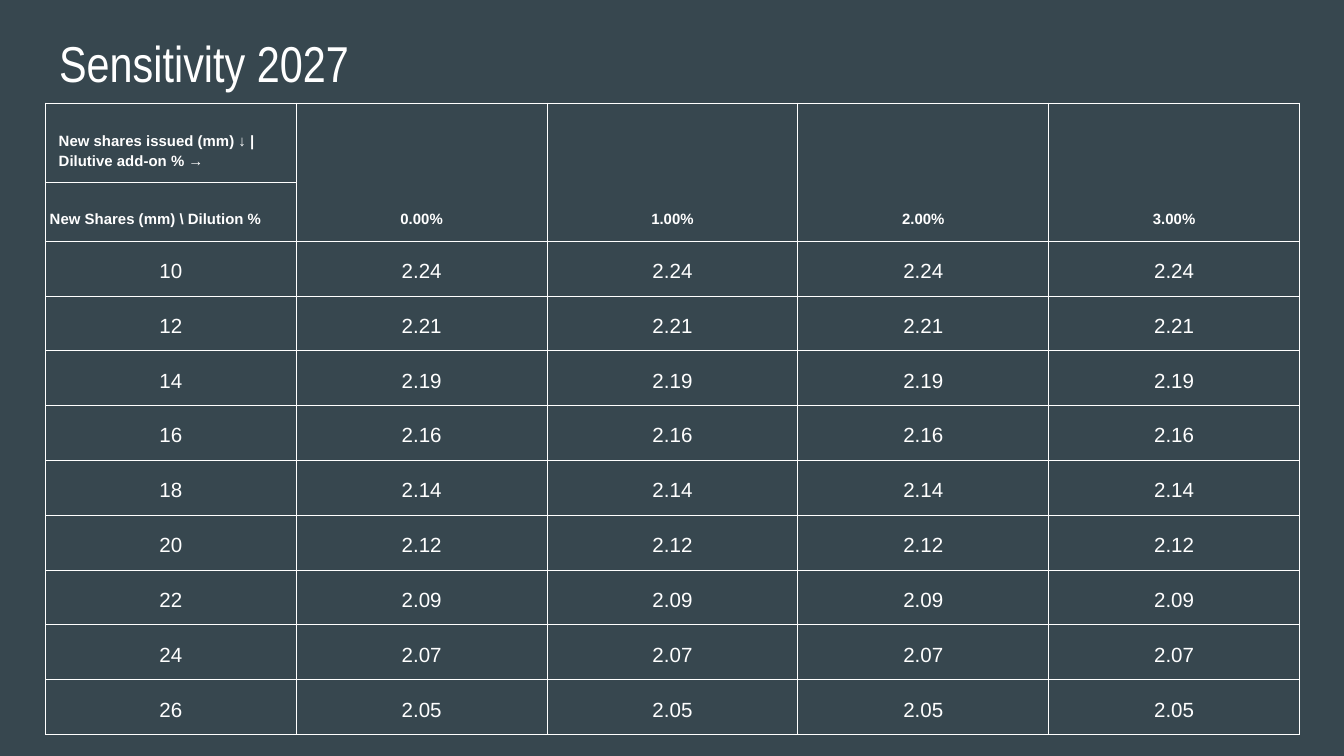
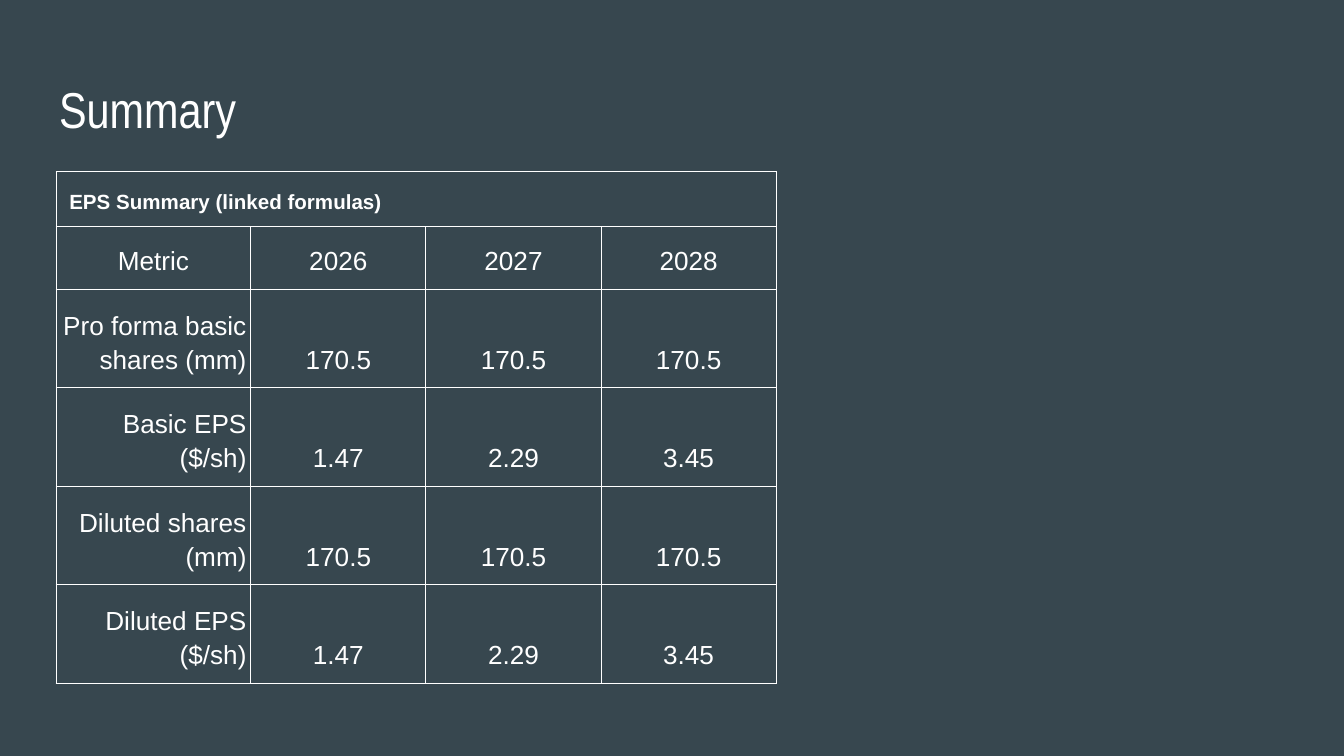
from dataclasses import dataclass
from typing import Optional

import pptx
import pptx.dml.color
import pptx.enum.text
import pptx.oxml
import pptx.oxml.ns
import pptx.util
from pptx.util import Cm, Length, Pt

Align = pptx.enum.text.PP_ALIGN
Anchor = pptx.enum.text.MSO_ANCHOR


@dataclass(frozen=True)
class Theme:
    background: str = "37474F"
    ink: str = "FFFFFF"
    title_font: str = "Arial Narrow"
    body_font: str = "Arial"
    title_size: float = 27
    header_size: float = 8
    figure_size: float = 11
    summary_size: float = 14
    line_spacing: float = 1.15
    rule: Length = Pt(0.6)
    wide_inset: Length = Cm(0.25)
    narrow_inset: Length = Cm(0.08)


THEME = Theme()


@dataclass(frozen=True)
class Entry:
    """One table cell; across and down are the numbers of columns and rows it spans."""
    text: str
    size: float
    bold: bool = False
    align: Align = Align.CENTER
    side_inset: Length = THEME.narrow_inset
    across: int = 1
    down: int = 1


@dataclass(frozen=True)
class Grid:
    left: Length
    top: Length
    widths: list[Length]
    heights: list[Length]
    rows: list[list[Optional[Entry]]]


def add_text(paragraph, text: str, font: str, size: float, bold: bool = False) -> None:
    run = paragraph.add_run()
    run.text = text
    run.font.name = font
    run.font.size = Pt(size)
    run.font.bold = bold
    run.font.color.rgb = pptx.dml.color.RGBColor.from_string(THEME.ink)


def add_titled_slide(deck, title: str, top: Length):
    slide = deck.slides.add_slide(deck.slide_layouts[6])
    fill = slide.background.fill
    fill.solid()
    fill.fore_color.rgb = pptx.dml.color.RGBColor.from_string(THEME.background)

    frame = slide.shapes.add_textbox(Cm(0.87), top, Cm(23.67), Cm(1.59)).text_frame
    frame.word_wrap = True
    frame.margin_left = frame.margin_right = THEME.wide_inset
    frame.margin_top = frame.margin_bottom = THEME.wide_inset
    add_text(frame.paragraphs[0], title, THEME.title_font, THEME.title_size)
    return slide


def rule_cell(cell) -> None:
    """Outline a cell on all four sides and leave it unfilled."""
    properties = cell._tc.get_or_add_tcPr()
    for side in ("lnL", "lnR", "lnT", "lnB"):
        properties.append(pptx.oxml.parse_xml(
            f'<a:{side} {pptx.oxml.ns.nsdecls("a")} w="{int(THEME.rule)}">'
            f'<a:solidFill><a:srgbClr val="{THEME.ink}"/></a:solidFill></a:{side}>'))
    cell.fill.background()


def write_cell(cell, entry: Entry) -> None:
    cell.vertical_anchor = Anchor.BOTTOM
    cell.margin_left = cell.margin_right = entry.side_inset
    cell.margin_top = cell.margin_bottom = THEME.wide_inset
    paragraph = cell.text_frame.paragraphs[0]
    paragraph.alignment = entry.align
    paragraph.line_spacing = THEME.line_spacing
    add_text(paragraph, entry.text, THEME.body_font, entry.size, entry.bold)


def add_grid(slide, grid: Grid) -> None:
    table = slide.shapes.add_table(
        len(grid.heights), len(grid.widths), grid.left, grid.top,
        Length(sum(grid.widths)), Length(sum(grid.heights))).table
    table.first_row = table.horz_banding = False
    for column, width in zip(table.columns, grid.widths):
        column.width = width
    for row, height in zip(table.rows, grid.heights):
        row.height = height
    for r, entries in enumerate(grid.rows):
        for c, entry in enumerate(entries):
            cell = table.cell(r, c)
            rule_cell(cell)
            if entry is None:
                continue
            write_cell(cell, entry)
            if entry.across > 1 or entry.down > 1:
                cell.merge(table.cell(r + entry.down - 1, c + entry.across - 1))


def sensitivity_grid() -> Grid:
    dilutions = ["0.00%", "1.00%", "2.00%", "3.00%"]
    eps_by_new_shares = {
        "10": "2.24", "12": "2.21", "14": "2.19", "16": "2.16", "18": "2.14",
        "20": "2.12", "22": "2.09", "24": "2.07", "26": "2.05",
    }
    corner = Entry("New shares issued (mm) ↓ | Dilutive add-on % →", THEME.header_size,
                   bold=True, align=Align.LEFT, side_inset=THEME.wide_inset)
    axis = Entry("New Shares (mm) \\ Dilution %", THEME.header_size,
                 bold=True, align=Align.LEFT)
    headers = [Entry(rate, THEME.header_size, bold=True, down=2) for rate in dilutions]
    figures = [
        [Entry(text, THEME.figure_size) for text in [shares] + [eps] * len(dilutions)]
        for shares, eps in eps_by_new_shares.items()
    ]
    return Grid(
        left=Cm(0.86), top=Cm(1.95),
        widths=[Cm(4.74)] * (len(dilutions) + 1),
        heights=[Cm(1.5), Cm(1.11)] + [Cm(0.86)] * len(figures),
        rows=[[corner] + headers, [axis] + [None] * len(dilutions)] + figures,
    )


def summary_grid() -> Grid:
    years = ["2026", "2027", "2028"]
    shares = ["170.5"] * len(years)
    eps = ["1.47", "2.29", "3.45"]
    metrics = {
        "Pro forma basic shares (mm)": shares,
        "Basic EPS ($/sh)": eps,
        "Diluted shares (mm)": shares,
        "Diluted EPS ($/sh)": eps,
    }
    heading = Entry("EPS Summary (linked formulas)", THEME.figure_size, bold=True,
                    align=Align.LEFT, side_inset=THEME.wide_inset, across=len(years) + 1)
    header = [Entry(text, THEME.summary_size) for text in ["Metric"] + years]
    figures = [
        [Entry(metric, THEME.summary_size, align=Align.RIGHT)]
        + [Entry(value, THEME.summary_size) for value in values]
        for metric, values in metrics.items()
    ]
    return Grid(
        left=Cm(1.06), top=Cm(3.25),
        widths=[Cm(3.68)] + [Cm(3.31)] * len(years),
        heights=[Cm(0.56)] * 2 + [Cm(0.97)] + [Cm(0.56)] * 3,
        rows=[[heading] + [None] * len(years), header] + figures,
    )


def main() -> None:
    deck = pptx.Presentation()
    deck.slide_width, deck.slide_height = Cm(25.4), Cm(14.29)
    add_grid(add_titled_slide(deck, "Sensitivity 2027", Cm(0.36)), sensitivity_grid())
    add_grid(add_titled_slide(deck, "Summary", Cm(1.23)), summary_grid())
    deck.save("out.pptx")


if __name__ == "__main__":
    main()
